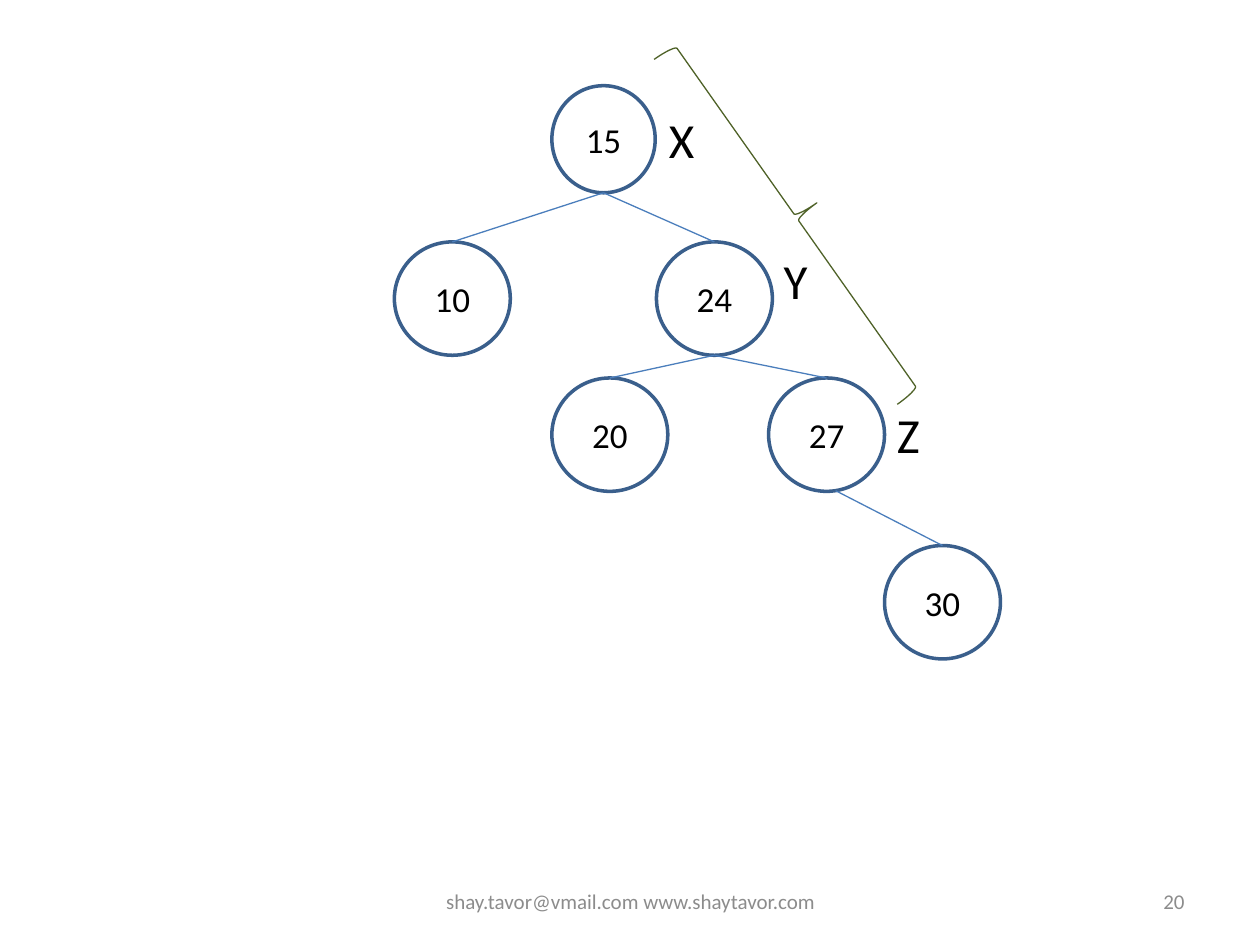
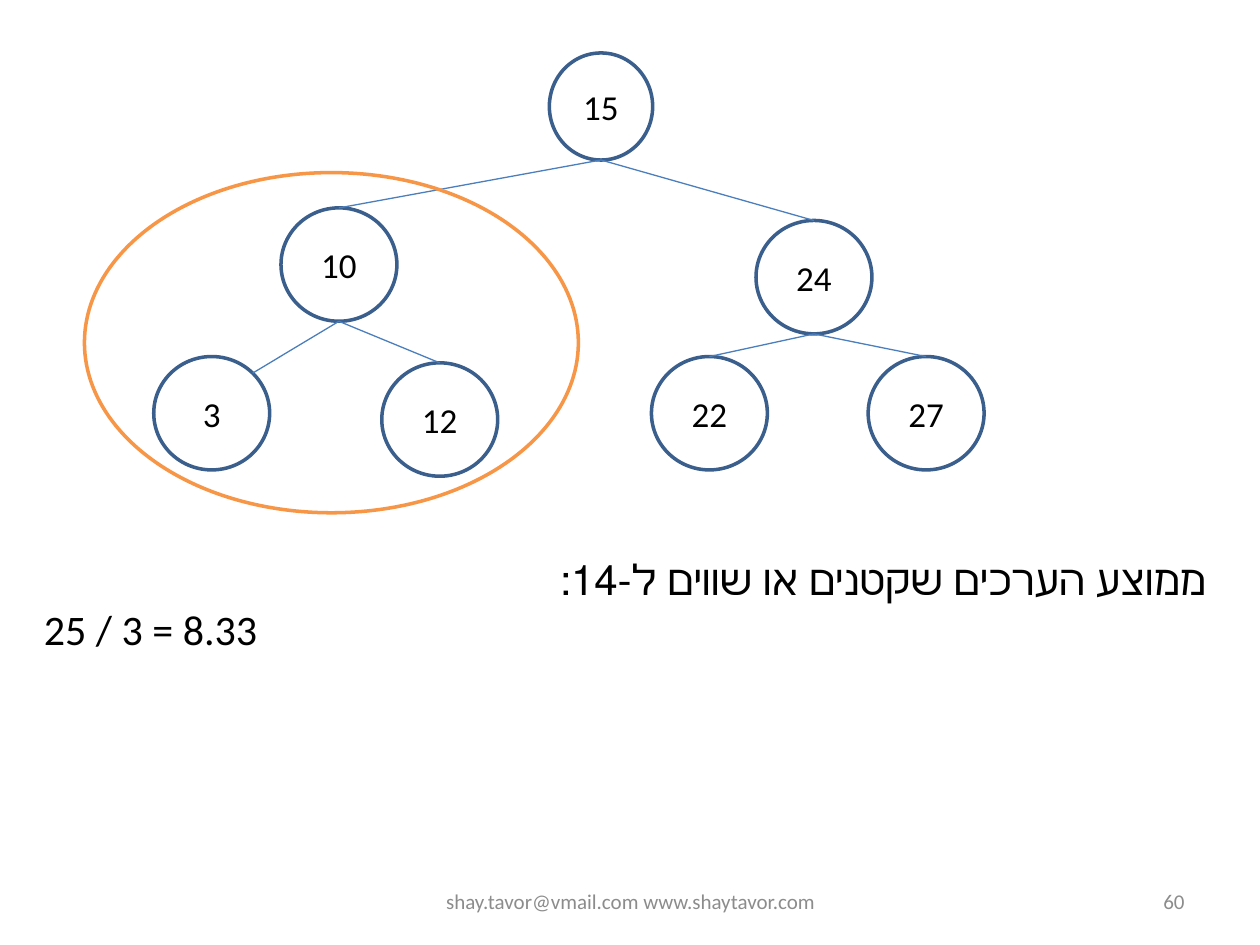
import math

from pptx import Presentation
from pptx import util as u
from pptx.dml.color import RGBColor
from pptx.enum import shapes, text

# Shared style
WHITE = RGBColor(0xFF, 0xFF, 0xFF)
BLACK = RGBColor(0x00, 0x00, 0x00)
GREY = RGBColor(0x8C, 0x8C, 0x8C)
NODE_BLUE = RGBColor(0x3A, 0x5F, 0x8C)
EDGE_BLUE = RGBColor(0x4B, 0x7E, 0xBC)
OLIVE = RGBColor(0x4F, 0x62, 0x28)
ORANGE = RGBColor(0xF7, 0x96, 0x46)
FONT = "Calibri"
FOOTER = "shay.tavor@vmail.com www.shaytavor.com"
LEFT, CENTER, RIGHT = (text.PP_ALIGN.LEFT, text.PP_ALIGN.CENTER,
                       text.PP_ALIGN.RIGHT)

# The slide is a grid of 100 columns by 75 rows of square cells
COLS, ROWS = 100, 75
CELL = u.Inches(0.1)
ROOT_SIZE = (8.2, 8.5)
NODE_SIZE = (9.2, 9)

# Trees: value -> centre (column, row); the first value is the root
ROTATION_NODES = {15: (47.9, 11.05), 24: (56.7, 23.7), 10: (35.9, 23.7),
                  27: (65.6, 34.5), 20: (48.4, 34.5), 30: (74.8, 47.8)}
AVERAGE_NODES = {15: (47.7, 8.45), 24: (64.6, 22), 10: (26.9, 21),
                 27: (73.5, 32.8), 22: (56.3, 32.8), 12: (34.9, 33.3),
                 3: (16.8, 32.8)}

# Edges: parent, child, then the angles where the line leaves and arrives,
# in degrees clockwise from the top of a node
ROTATION_EDGES = [(15, 24), (15, 10), (24, 27), (24, 20), (27, 30, 171)]
AVERAGE_EDGES = [(15, 24), (15, 10), (24, 27), (24, 22), (10, 12),
                 (10, 3, 180, 45)]


def cells(*values):
    return [round(v * CELL) for v in values]


def write(p, words, size, color=BLACK, align=LEFT):
    p.text = words
    p.alignment = align
    for r in p.runs:
        r.font.size = u.Pt(size)
        r.font.name = FONT
        r.font.color.rgb = color


def add_outline(s, kind, box, color, width, fill=None):
    sp = s.shapes.add_shape(kind, *cells(*box))
    sp.shadow.inherit = False
    if fill is None:
        sp.fill.background()
    else:
        sp.fill.solid()
        sp.fill.fore_color.rgb = fill
    sp.line.color.rgb = color
    sp.line.width = u.Pt(width)
    return sp


def add_text(s, box, lines, size, color=BLACK, align=LEFT, middle=False):
    tf = s.shapes.add_textbox(*cells(*box)).text_frame
    tf.word_wrap = True
    if middle:
        tf.vertical_anchor = text.MSO_ANCHOR.MIDDLE
    else:
        tf.auto_size = text.MSO_AUTO_SIZE.SHAPE_TO_FIT_TEXT
    for i, words in enumerate(lines):
        p = tf.add_paragraph() if i else tf.paragraphs[0]
        write(p, words, size, color, align)
    return tf


def add_node(s, value, centre, size):
    (x, y), (w, h) = centre, size
    sp = add_outline(s, shapes.MSO_SHAPE.OVAL, (x - w / 2, y - h / 2, w, h),
                     NODE_BLUE, 2, WHITE)
    tf = sp.text_frame
    tf.vertical_anchor = text.MSO_ANCHOR.MIDDLE
    write(tf.paragraphs[0], str(value), 20, align=CENTER)
    return sp


def rim(sp, angle):
    a = math.radians(angle)
    return (round(sp.left + sp.width / 2 * (1 + math.sin(a))),
            round(sp.top + sp.height / 2 * (1 - math.cos(a))))


def add_edge(s, parent, child, leave=180, arrive=0):
    line = s.shapes.add_connector(shapes.MSO_CONNECTOR.STRAIGHT,
                                  *rim(parent, leave), *rim(child, arrive))
    line.line.color.rgb = EDGE_BLUE
    line.line.width = u.Pt(0.75)
    props = line.element.spPr
    props.append(props.makeelement(
        "{http://schemas.openxmlformats.org/drawingml/2006/main}effectLst"))


def add_tree(s, nodes, edges):
    drawn = {}
    for value, centre in nodes.items():
        size = NODE_SIZE if drawn else ROOT_SIZE
        drawn[value] = add_node(s, value, centre, size)
    for parent, child, *angles in edges:
        add_edge(s, drawn[parent], drawn[child], *angles)


def add_slide(prs, number):
    s = prs.slides.add_slide(prs.slide_layouts[6])
    add_text(s, (34.2, 69.5, 31.7, 4), [FOOTER], 12, GREY, CENTER, True)
    add_text(s, (71.7, 69.5, 23.3, 4), [str(number)], 12, GREY, RIGHT, True)
    return s


def rotation_slide(prs):
    s = add_slide(prs, 20)
    add_tree(s, ROTATION_NODES, ROTATION_EDGES)
    # Brace along the X-Y-Z path
    brace = add_outline(s, shapes.MSO_SHAPE.RIGHT_BRACE,
                        (61.2, 0.5, 4, 33.5), OLIVE, 0.75)
    brace.adjustments[0] = 0.083
    brace.rotation = 324.8
    for name, x, y, w in [("Z", 70.2, 31.6, 4.3), ("Y", 61.2, 19.4, 5.2),
                          ("X", 52.1, 8.2, 6.7)]:
        add_text(s, (x, y, w, 5.7), [name], 28)


def average_slide(prs):
    s = add_slide(prs, 60)
    add_tree(s, AVERAGE_NODES, AVERAGE_EDGES)
    tf = add_text(s, (2.5, 43.4, 94.2, 9.1),
                  ["ממוצע הערכים שקטנים או שווים ל-14:", "25 / 3 = 8.33"], 24)
    # The Hebrew line runs from the right
    p = tf.paragraphs[0]
    p.alignment = RIGHT
    p._p.get_or_add_pPr().set("rtl", "1")
    # Ring around the left subtree
    add_outline(s, shapes.MSO_SHAPE.OVAL, (6.7, 13.7, 39.2, 27), ORANGE, 2)


def main():
    prs = Presentation()
    prs.slide_width, prs.slide_height = cells(COLS, ROWS)
    rotation_slide(prs)
    average_slide(prs)
    prs.save("out.pptx")


if __name__ == "__main__":
    main()
